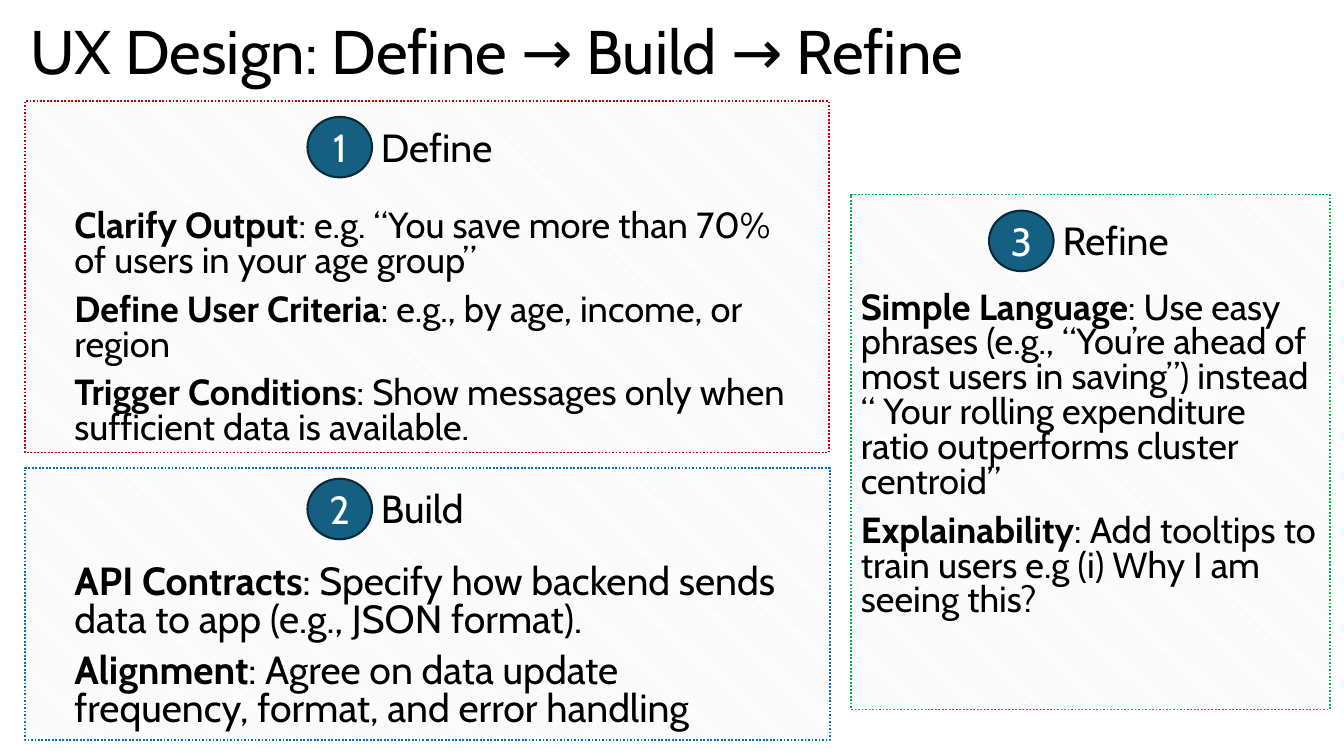
from dataclasses import dataclass

from pptx import Presentation
from pptx.dml.color import RGBColor
from pptx.enum.dml import MSO_LINE, MSO_PATTERN
from pptx.enum.shapes import MSO_SHAPE
from pptx.enum.text import MSO_ANCHOR, PP_ALIGN
from pptx.util import Inches, Pt


@dataclass(frozen=True)
class Theme:
    font: str = "Cabin"
    ink: str = "000000"
    paper: str = "FFFFFF"
    hatch: str = "E8E8E8"
    badge: str = "156082"
    rim: str = "092A39"
    red: str = "C00000"
    blue: str = "0070C0"
    green: str = "00B050"
    title: float = 44
    label: float = 28
    body: float = 25.9


THEME = Theme()

# Each step: frame, edge colour, badge corner, label with width, text box, size, points
STEPS = [
    ((0.25, 1, 7.97, 3.49), THEME.red, (3.05, 1.16), ("Define", 1.31),
     (0.64, 2.04, 7.4, 2.59), THEME.body, [
        ("Clarify Output", ": e.g. “You save more than 70% of users in your age group”"),
        ("Define User Criteria", ": e.g., by age, income, or region"),
        ("Trigger Conditions", ": Show messages only when sufficient data is available."),
    ]),
    ((0.25, 4.64, 7.98, 2.7), THEME.blue, (3.05, 4.75), ("Build", 1.07),
     (0.64, 5.56, 7.22, 1.86), THEME.label, [
        ("API Contracts", ": Specify how backend sends data to app (e.g., JSON format)."),
        ("Alignment", ": Agree on data update frequency, format, and error handling"),
    ]),
    ((8.44, 1.93, 4.75, 5.11), THEME.green, (9.81, 2.09), ("Refine", 1.28),
     (8.44, 2.85, 4.75, 3.89), THEME.body, [
        ("Simple Language", ": Use easy phrases (e.g., “You’re ahead of most users in saving”) "
         "instead “ Your rolling expenditure ratio outperforms cluster centroid”"),
        ("Explainability", ": Add tooltips to train users e.g (i) Why I am seeing this?"),
    ]),
]


def rgb(code):
    return RGBColor.from_string(code)


def inch(box):
    return [Inches(v) for v in box]


def write(shape, paras, size, color=THEME.ink, align=PP_ALIGN.LEFT,
          anchor=MSO_ANCHOR.TOP, wrap=True, line=None, gap=0):
    """Fill a shape with paragraphs, each a list of (text, bold) runs."""
    frame = shape.text_frame
    frame.word_wrap = wrap
    frame.vertical_anchor = anchor
    for i, runs in enumerate(paras):
        para = frame.paragraphs[0] if i == 0 else frame.add_paragraph()
        para.alignment = align
        if line:
            para.line_spacing = line
        if i and gap:
            para.space_before = Pt(gap)
        for text, bold in runs:
            run = para.add_run()
            run.text = text
            font = run.font
            font.name, font.size, font.bold = THEME.font, Pt(size), bold
            font.color.rgb = rgb(color)


def panel(slide, box, edge):
    shape = slide.shapes.add_shape(MSO_SHAPE.RECTANGLE, *inch(box))
    shape.shadow.inherit = False
    shape.fill.patterned()
    shape.fill.pattern = MSO_PATTERN.LIGHT_DOWNWARD_DIAGONAL
    shape.fill.fore_color.rgb = rgb(THEME.hatch)
    shape.fill.back_color.rgb = rgb(THEME.paper)
    shape.line.color.rgb = rgb(edge)
    shape.line.width = Pt(1.25)
    shape.line.dash_style = MSO_LINE.ROUND_DOT


def heading(slide, spot, number, label, width):
    """Group a numbered disc with the step name to its right."""
    x, y = spot
    group = slide.shapes.add_group_shape()
    disc = group.shapes.add_shape(MSO_SHAPE.OVAL, *inch((x, y, 0.64, 0.6)))
    disc.shadow.inherit = False
    disc.fill.solid()
    disc.fill.fore_color.rgb = rgb(THEME.badge)
    disc.line.color.rgb = rgb(THEME.rim)
    disc.line.width = Pt(1.5)
    write(disc, [[(str(number), False)]], THEME.label, color=THEME.paper,
          align=PP_ALIGN.CENTER, anchor=MSO_ANCHOR.MIDDLE)
    name = group.shapes.add_textbox(*inch((x + 0.63, y + 0.01, width, 0.57)))
    write(name, [[(label, False)]], THEME.label, wrap=False)


def points(slide, box, items, size):
    shape = slide.shapes.add_textbox(*inch(box))
    paras = [[(head, True), (rest, False)] for head, rest in items]
    write(shape, paras, size, line=0.8, gap=10)


def main():
    deck = Presentation()
    deck.slide_width, deck.slide_height = Inches(13.33), Inches(7.5)
    slide = deck.slides.add_slide(deck.slide_layouts[6])

    title = slide.shapes.add_textbox(*inch((0.2, -0.18, 11.5, 1.45)))
    write(title, [[("UX Design: Define → Build → Refine", False)]], THEME.title,
          anchor=MSO_ANCHOR.MIDDLE, line=0.9)

    for number, step in enumerate(STEPS, 1):
        frame, edge, spot, (label, width), box, size, items = step
        panel(slide, frame, edge)
        points(slide, box, items, size)
        heading(slide, spot, number, label, width)

    deck.save("out.pptx")


if __name__ == "__main__":
    main()
